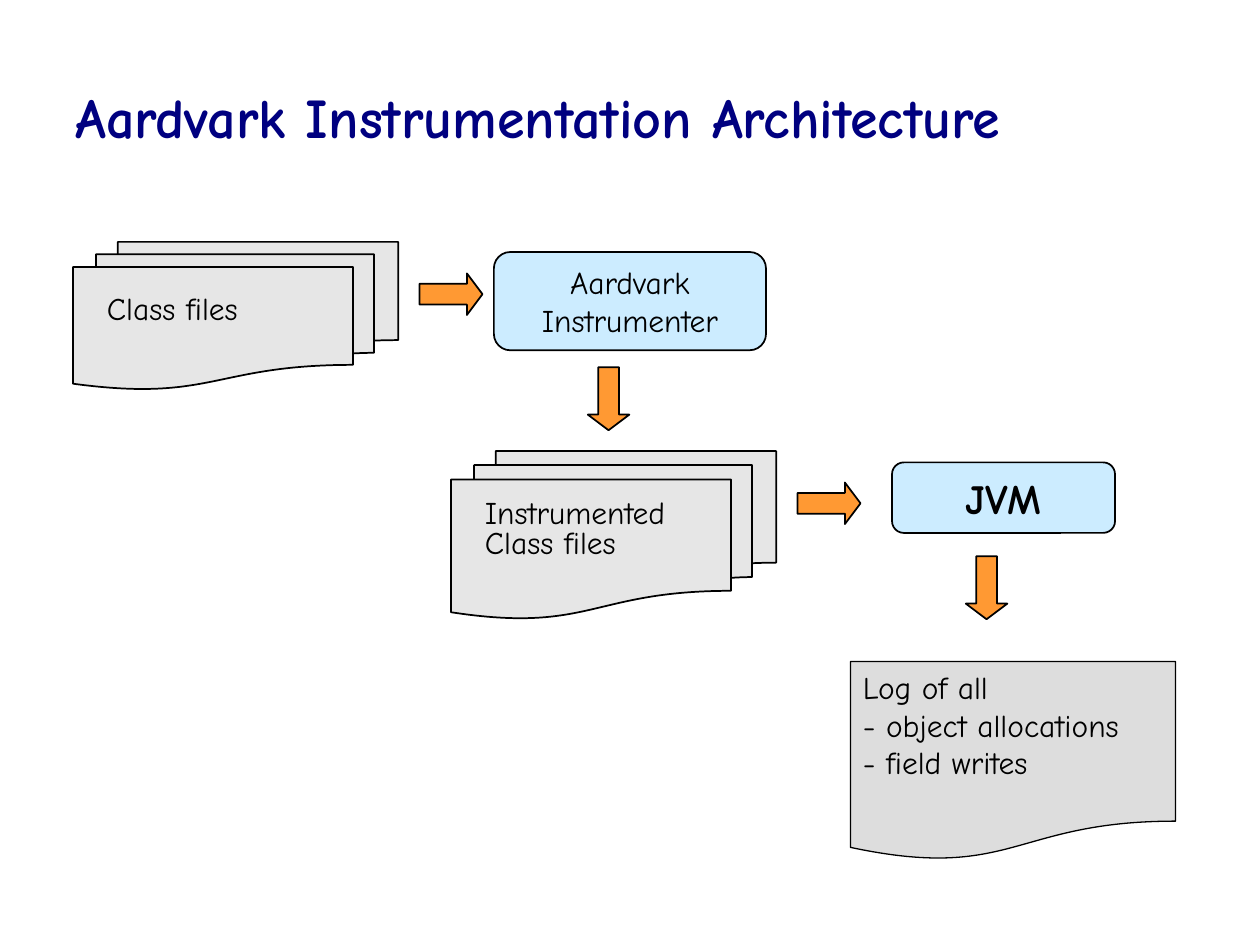
from pptx import Presentation
from pptx.dml.color import RGBColor
from pptx.enum.shapes import MSO_SHAPE
from pptx.enum.text import MSO_ANCHOR, PP_ALIGN
from pptx.util import Inches, Pt

COLORS = {
    "title": "000080",
    "ink": "000000",
    "process": "CCECFF",
    "arrow": "FF9933",
    "files": "E6E6E6",
    "log": "DDDDDD",
}
FONT = "Comic Neue"


def color(name):
    return RGBColor.from_string(COLORS[name])


def write_lines(shape, lines, size=18, bold=False, ink="ink",
                anchor=MSO_ANCHOR.MIDDLE, **paragraph_format):
    """Put one paragraph per line into the shape."""
    frame = shape.text_frame
    frame.word_wrap = True
    frame.vertical_anchor = anchor
    frame.text = "\n".join(lines)
    font_format = {"name": FONT, "size": Pt(size), "bold": bold}
    for para in frame.paragraphs:
        for name, value in paragraph_format.items():
            setattr(para, name, value)
        for span in para.runs:
            for name, value in font_format.items():
                setattr(span.font, name, value)
            span.font.color.rgb = color(ink)


def add_text(page, place, lines, **text_format):
    box = page.shapes.add_textbox(*map(Inches, place))
    write_lines(box, lines, **text_format)


def add_outlined(page, kind, place, fill, line_width=1):
    shape = page.shapes.add_shape(kind, *map(Inches, place))
    shape.shadow.inherit = False
    shape.fill.solid()
    shape.fill.fore_color.rgb = color(fill)
    shape.line.color.rgb = color("ink")
    shape.line.width = Pt(line_width)
    return shape


def add_process(page, place, lines, **text_format):
    shape = add_outlined(page, MSO_SHAPE.ROUNDED_RECTANGLE, place, "process")
    write_lines(shape, lines, alignment=PP_ALIGN.CENTER, **text_format)


def add_file_stack(page, place, label_place, lines):
    add_outlined(page, MSO_SHAPE.FLOWCHART_MULTIDOCUMENT, place, "files")
    add_text(page, label_place, lines, line_spacing=0.8)


def add_arrow(page, left, top, rotation=0):
    shape = add_outlined(page, MSO_SHAPE.RIGHT_ARROW, (left, top, 0.5, 0.33), "arrow")
    shape.adjustments[1] = 0.375
    shape.rotation = rotation


def add_log(page, place, lines):
    shape = add_outlined(page, MSO_SHAPE.FLOWCHART_DOCUMENT, place, "log", 0.75)
    write_lines(shape, lines, anchor=MSO_ANCHOR.TOP, alignment=PP_ALIGN.LEFT)


def main():
    deck = Presentation()
    deck.slide_width, deck.slide_height = Inches(10), Inches(7.5)
    page = deck.slides.add_slide(deck.slide_layouts[6])

    add_text(page, (0.5, 0.3, 9, 1.25), ["Aardvark Instrumentation Architecture"],
             size=32, bold=True, ink="title")

    add_file_stack(page, (0.58, 1.92, 2.58, 1.17), (0.75, 2.3, 1.92, 0.34),
                   ["Class files"])
    add_process(page, (3.92, 2, 2.16, 0.78), ["Aardvark", "Instrumenter"])
    add_file_stack(page, (3.58, 3.58, 2.58, 1.33), (3.75, 3.92, 1.92, 0.58),
                   ["Instrumented", "Class files"])
    add_process(page, (7.08, 3.67, 1.77, 0.56), ["JVM"], size=24, bold=True)
    add_log(page, (6.75, 5.25, 2.58, 1.58),
            ["Log of all", "- object allocations", "- field writes"])

    for left, top in ((3.33, 2.17), (6.33, 3.83)):
        add_arrow(page, left, top)
    for left, top in ((4.58, 3), (7.58, 4.5)):
        add_arrow(page, left, top, rotation=90)

    deck.save("out.pptx")


if __name__ == "__main__":
    main()
